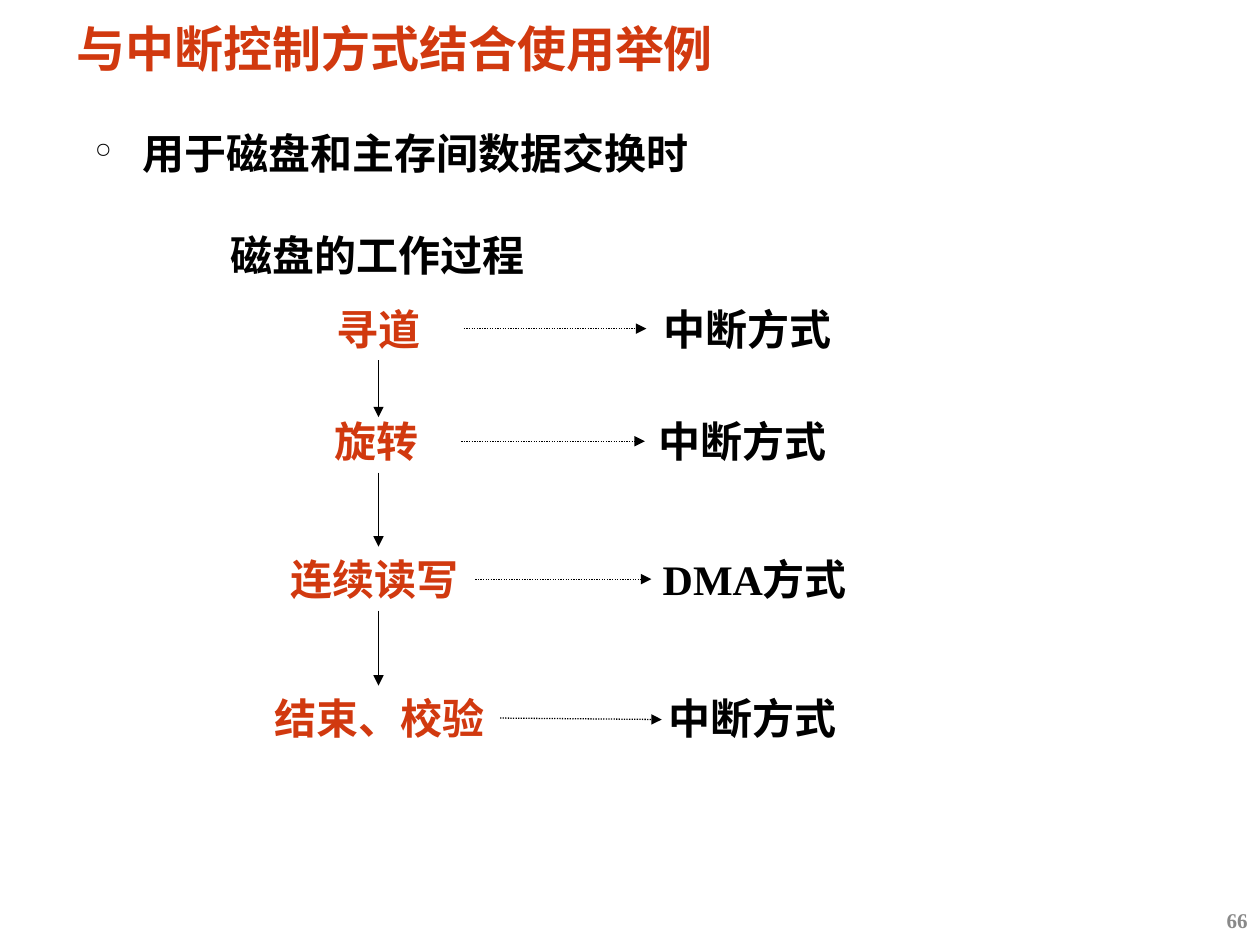
import lxml.etree
import pptx
import pptx.dml.color
import pptx.enum.dml
import pptx.enum.shapes
import pptx.enum.text
import pptx.oxml.ns
import pptx.util

Cm = pptx.util.Cm
Pt = pptx.util.Pt
COLORS = {"accent": "D1390F", "text": "000000", "muted": "898989"}
FIT = pptx.enum.text.MSO_AUTO_SIZE.SHAPE_TO_FIT_TEXT
TIGHT_MARGINS = {"margin_left": Cm(0.18), "margin_right": Cm(0.18),
                 "margin_top": Cm(0.08), "margin_bottom": Cm(0.08)}
ROW_HEIGHT = 1.27
STEPS = [
    {"step": "寻道", "mode": "中断方式", "top": 1.49, "left": 2.13,
     "arrow": (4.95, 8.63), "mode_left": 8.73, "drop": 0, "down_to": 3.91},
    {"step": "旋转", "mode": "中断方式", "top": 3.76, "left": 2.1,
     "arrow": (4.9, 8.6), "mode_left": 8.63, "drop": 0, "down_to": 6.52},
    {"step": "连续读写", "mode": "DMA方式", "top": 6.54, "left": 1.21,
     "arrow": (5.18, 8.73), "mode_left": 8.71, "drop": 0, "down_to": 9.32},
    {"step": "结束、校验", "mode": "中断方式", "top": 9.34, "left": 0.88,
     "arrow": (5.68, 8.94), "mode_left": 8.83, "drop": 0.03, "down_to": None},
]


def apply_formats(target, formats):
    """Set every named attribute of the target."""
    for name, value in formats.items():
        setattr(target, name, value)


def add_text(slide, box, text, size=24, color="text", font="Times New Roman",
             frame_formats=None, paragraph_formats=None):
    """Add one bold paragraph in a text box and return the paragraph."""
    shape = slide.shapes.add_textbox(*map(Cm, box))
    frame = shape.text_frame
    apply_formats(frame, {"word_wrap": True, "auto_size": FIT, **(frame_formats or {})})
    paragraph = frame.paragraphs[0]
    apply_formats(paragraph, paragraph_formats or {})
    run = paragraph.add_run()
    run.text = text
    apply_formats(run.font, {"name": font, "size": Pt(size), "bold": True})
    run.font.color.rgb = pptx.dml.color.RGBColor.from_string(COLORS[color])
    return paragraph


def add_arrow(slide, start, end, dotted=False):
    """Add a thin arrow from start to end."""
    connector = slide.shapes.add_connector(
        pptx.enum.shapes.MSO_CONNECTOR.STRAIGHT, *map(Cm, (*start, *end)))
    connector.line.width = Pt(0.75)
    connector.line.color.rgb = pptx.dml.color.RGBColor.from_string(COLORS["text"])
    if dotted:
        connector.line.dash_style = pptx.enum.dml.MSO_LINE.ROUND_DOT
    qn = pptx.oxml.ns.qn
    properties = connector.element.spPr
    lxml.etree.SubElement(properties.find(qn("a:ln")), qn("a:tailEnd"), type="triangle")
    lxml.etree.SubElement(properties, qn("a:effectLst"))


def add_title(slide, box):
    """Place the slide title."""
    add_text(slide, box, "与中断控制方式结合使用举例", size=28, color="accent",
             font="Arial", frame_formats=TIGHT_MARGINS,
             paragraph_formats={"line_spacing": 0.87})


def add_body(slide, box):
    """Place the bulleted statement."""
    paragraph = add_text(slide, box, "用于磁盘和主存间数据交换时", font="Arial",
                         frame_formats=TIGHT_MARGINS,
                         paragraph_formats={"line_spacing": 1.2})
    properties = paragraph._p.get_or_add_pPr()
    properties.set("marL", str(Cm(0.97)))
    properties.set("indent", str(Cm(-0.97)))
    lxml.etree.SubElement(properties, pptx.oxml.ns.qn("a:buChar"), char="°")


def add_disk_flow(slide, left, top):
    """Place the disk work steps, each with its control mode."""
    add_text(slide, (left, top, 7.04, ROW_HEIGHT), "磁盘的工作过程")
    down_x = left + 3.23
    for row in STEPS:
        row_top = top + row["top"]
        middle = row_top + ROW_HEIGHT / 2
        start, end = row["arrow"]
        add_text(slide, (left + row["left"], row_top, 4.9, ROW_HEIGHT),
                 row["step"], color="accent")
        add_arrow(slide, (left + start, middle),
                  (left + end, middle + row["drop"]), dotted=True)
        add_text(slide, (left + row["mode_left"], row_top, 4.57, ROW_HEIGHT), row["mode"])
        if row["down_to"]:
            add_arrow(slide, (down_x, row_top + ROW_HEIGHT), (down_x, top + row["down_to"]))


def add_page_number(slide, box):
    """Place the page number."""
    add_text(slide, box, "66", size=12, color="muted",
             frame_formats={"auto_size": pptx.enum.text.MSO_AUTO_SIZE.NONE,
                            "vertical_anchor": pptx.enum.text.MSO_ANCHOR.MIDDLE},
             paragraph_formats={"alignment": pptx.enum.text.PP_ALIGN.RIGHT})


def main():
    """Build and save the presentation."""
    presentation = pptx.Presentation()
    apply_formats(presentation, {"slide_width": Cm(25.4), "slide_height": Cm(19.05)})
    slide = presentation.slides.add_slide(presentation.slide_layouts[6])
    add_title(slide, (1.37, 0.46, 15.14, 1.17))
    add_body(slide, (1.73, 2.29, 15.95, 1.24))
    add_disk_flow(slide, 4.4, 4.5)
    add_page_number(slide, (19.69, 18.03, 5.71, 1.02))
    presentation.save("out.pptx")


if __name__ == "__main__":
    main()
